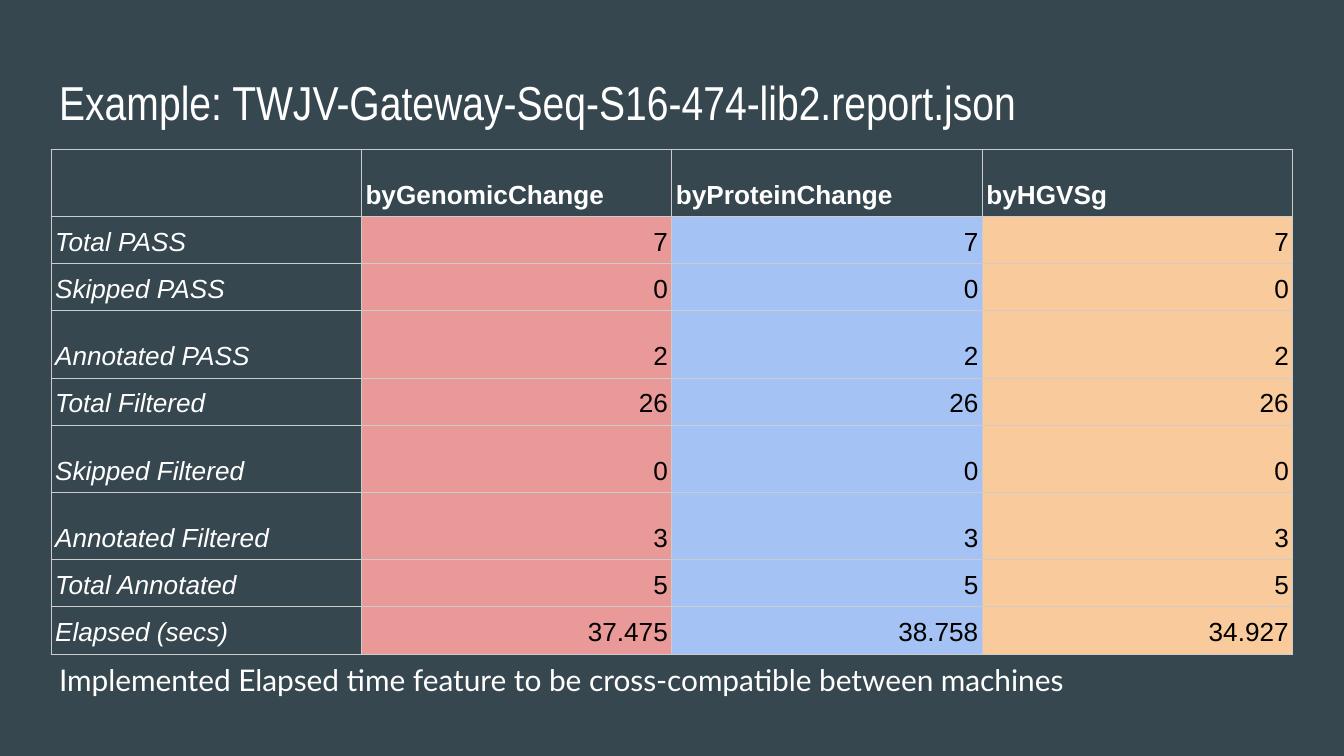
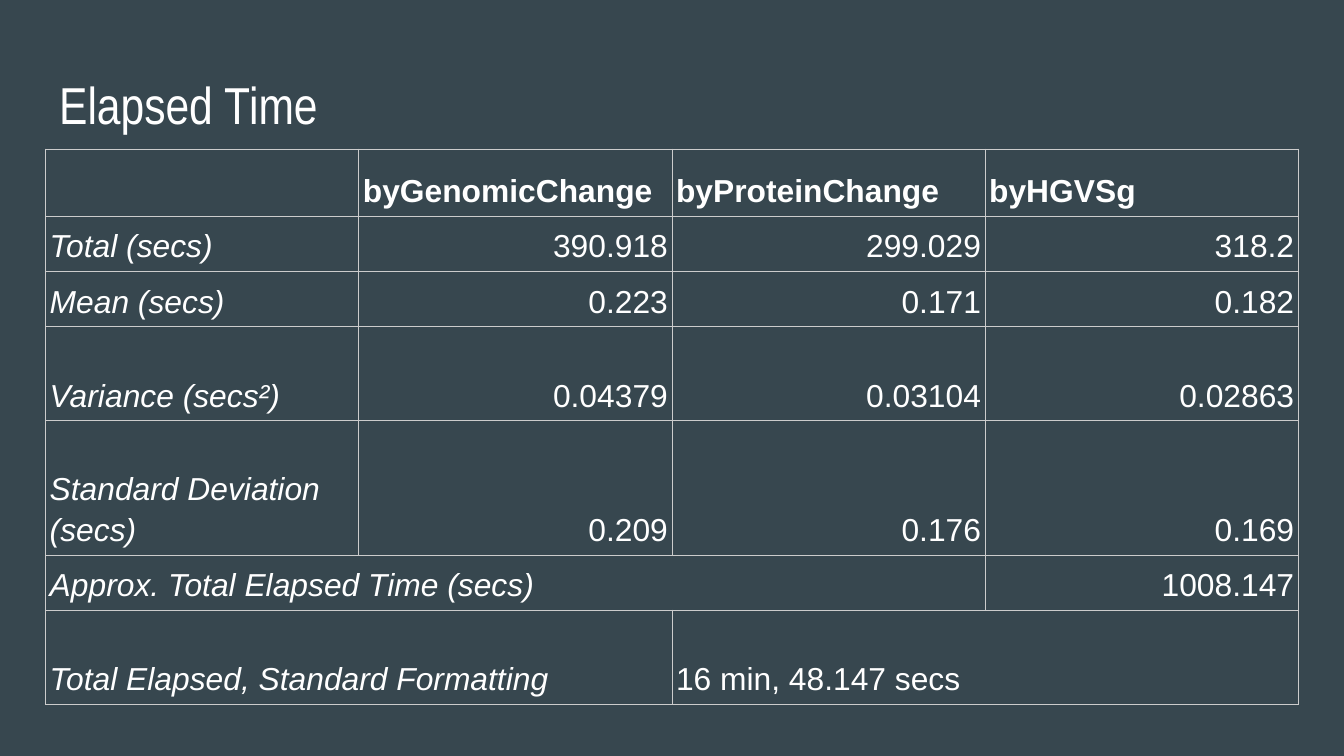
from lxml.etree import SubElement as Sub
from pptx import Presentation
from pptx.dml.color import RGBColor as RGB
from pptx.enum.text import MSO_ANCHOR as Anchor, MSO_AUTO_SIZE as Auto, PP_ALIGN as Align
from pptx.oxml.ns import qn
from pptx.util import Inches, Pt

SLATE = RGB(0x37, 0x47, 0x4F)
WHITE = RGB(0xFF, 0xFF, 0xFF)
BLACK = RGB(0x00, 0x00, 0x00)
GREY = RGB(0xCC, 0xCC, 0xCC)
ROSE = RGB(0xEA, 0x99, 0x99)
BLUE = RGB(0xA4, 0xC2, 0xF4)
PEACH = RGB(0xF9, 0xCB, 0x9C)

W = Inches(10)
H = W * 9 // 16
SIDE = Inches(0.34)
TOP = Inches(1.11)
COLS = 4
HEAD = ["", "byGenomicChange", "byProteinChange", "byHGVSg"]

PAGES = [
    dict(
        title="Example: TWJV-Gateway-Seq-S16-474-lib2.report.json",
        note="Implemented Elapsed time feature to be cross-compatible between machines",
        head=25.5, size=14, side=Inches(0.38), ink=BLACK, fills=[None, ROSE, BLUE, PEACH],
        high=[0.5, 0.29, 0.29, 0.5, 0.29, 0.5, 0.5, 0.29, 0.29],
        rows=[
            HEAD,
            ["Total PASS", "7", "7", "7"],
            ["Skipped PASS", "0", "0", "0"],
            ["Annotated PASS", "2", "2", "2"],
            ["Total Filtered", "26", "26", "26"],
            ["Skipped Filtered", "0", "0", "0"],
            ["Annotated Filtered", "3", "3", "3"],
            ["Total Annotated", "5", "5", "5"],
            ["Elapsed (secs)", "37.475", "38.758", "34.927"],
        ],
        joins=[],
    ),
    dict(
        title="Elapsed Time",
        note=None,
        head=27.8, size=17, side=SIDE, ink=WHITE, fills=[None] * COLS,
        high=[0.5, 0.41, 0.41, 0.7, 1, 0.41, 0.7],
        rows=[
            HEAD,
            ["Total (secs)", "390.918", "299.029", "318.2"],
            ["Mean (secs)", "0.223", "0.171", "0.182"],
            ["Variance (secs²)", "0.04379", "0.03104", "0.02863"],
            ["Standard Deviation (secs)", "0.209", "0.176", "0.169"],
            ["Approx. Total Elapsed Time (secs)", "", "", "1008.147"],
            ["Total Elapsed, Standard Formatting", "", "16 min, 48.147 secs", ""],
        ],
        joins=[(5, 0, 2), (6, 0, 1), (6, 2, 3)],
    ),
]


def write(frame, text, size, font="Arial", ink=WHITE, bold=False, slant=False,
          align=Align.LEFT, lead=1.15, after=0):
    para = frame.paragraphs[0]
    para.text = text
    para.alignment = align
    para.line_spacing = lead
    para.space_before, para.space_after = Pt(0), Pt(after)
    face = para.runs[0].font
    face.name, face.size = font, Pt(size)
    face.bold, face.italic = bold, slant
    face.color.rgb = ink


def place(shape, top, high):
    shape.left, shape.top = SIDE, Inches(top)
    shape.width, shape.height = W - 2 * SIDE, Inches(high)
    frame = shape.text_frame
    frame.word_wrap, frame.auto_size = True, Auto.NONE
    frame.vertical_anchor = Anchor.TOP
    frame.margin_left = frame.margin_right = Inches(0.1)
    frame.margin_top = frame.margin_bottom = Inches(0.1)
    return frame


deck = Presentation()
deck.slide_width, deck.slide_height = W, H
back = deck.slide_master.background.fill
back.solid()
back.fore_color.rgb = SLATE

for page in PAGES:
    slide = deck.slides.add_slide(deck.slide_layouts[1 if page["note"] else 5])
    frame = place(slide.shapes.title, 0.49, 0.63)
    write(frame, page["title"], page["head"], font="Arial Narrow", lead=0.9)

    if page["note"]:
        frame = place(slide.placeholders[1], 4.78, 0.49)
        props = frame.paragraphs[0]._p.get_or_add_pPr()
        props.set("marL", "0")
        props.set("indent", "0")
        Sub(props, qn("a:buNone"))
        write(frame, page["note"], 16, font="Lato", after=12)

    rows, side = page["rows"], page["side"]
    wide = W - 2 * side
    high = [Inches(part) for part in page["high"]]
    grid = slide.shapes.add_table(len(rows), COLS, side, TOP, wide, sum(high)).table
    grid.first_row = grid.horz_banding = False
    for col in grid.columns:
        col.width = wide // COLS
    for row, tall in zip(grid.rows, high):
        row.height = tall
    for r, first, last in page["joins"]:
        grid.cell(r, first).merge(grid.cell(r, last))

    for r, row in enumerate(rows):
        for c, text in enumerate(row):
            cell = grid.cell(r, c)
            cell.vertical_anchor = Anchor.BOTTOM
            cell.margin_left = cell.margin_right = Inches(0.03)
            cell.margin_top = cell.margin_bottom = Inches(0.05)
            for edge in "LRTB":
                line = Sub(cell._tc.get_or_add_tcPr(), qn(f"a:ln{edge}"), w=str(Pt(0.57)))
                Sub(Sub(line, qn("a:solidFill")), qn("a:srgbClr"), val=str(GREY))
            tint = page["fills"][c] if r else None
            if tint:
                cell.fill.solid()
                cell.fill.fore_color.rgb = tint
            else:
                cell.fill.background()
            if text:
                value = r > 0 and c > 0
                right = value and not cell.is_merge_origin
                write(cell.text_frame, text, page["size"],
                      ink=page["ink"] if value else WHITE,
                      bold=r == 0, slant=r > 0 and c == 0,
                      align=Align.RIGHT if right else Align.LEFT)

deck.save("out.pptx")
